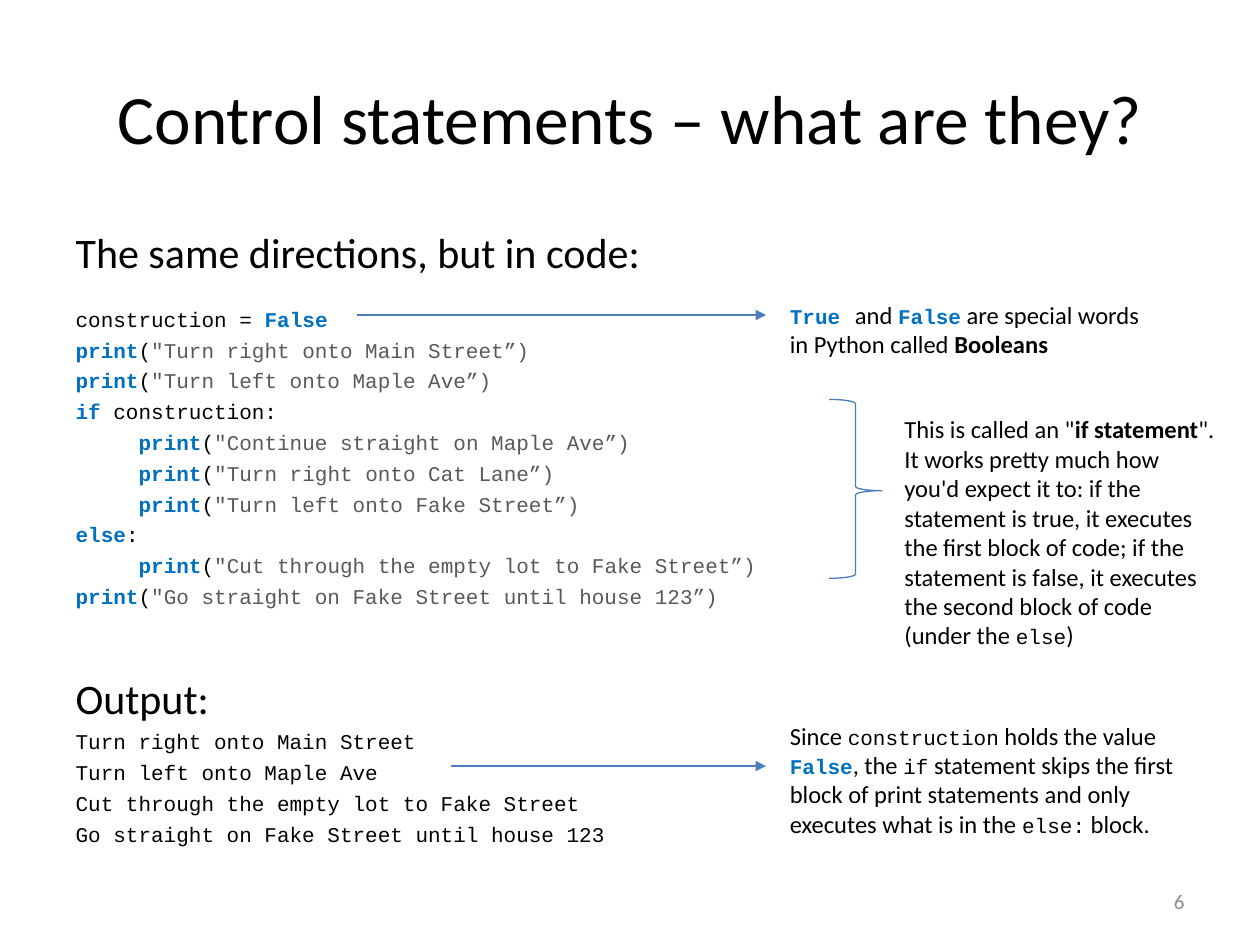
from pptx import Presentation
from pptx.dml.color import RGBColor
from pptx.enum.shapes import MSO_CONNECTOR, MSO_SHAPE
from pptx.enum.text import MSO_ANCHOR as Anchor, MSO_AUTO_SIZE as AutoSize, PP_ALIGN as Align
from pptx.oxml.ns import qn
from pptx.util import Inches, Pt
from lxml import etree

ACCENT = "4B7EBC"
SANS, MONO = "Calibri", "Courier New"
PROSE = dict(size=14)
STRONG = dict(size=14, bold=True)
CODE = dict(size=12, font=MONO)
KEYWORD = dict(size=12, font=MONO, color="0070C0", bold=True)
STRING = dict(size=12, font=MONO, color="595959")
HEADING = dict(size=24)


def color_of(hex_text):
    return RGBColor.from_string(hex_text)


def add_span(para, text, size=14, font=SANS, color="000000", bold=False):
    span = para.add_run()
    span.text = text
    span.font.size = Pt(size)
    span.font.name = font
    span.font.bold = bold
    span.font.color.rgb = color_of(color)


deck = Presentation()
deck.slide_width, deck.slide_height = Inches(10), Inches(7.5)
page = deck.slides.add_slide(deck.slide_layouts[1])

# Title
title = page.shapes.title
title.left, title.top, title.width, title.height = map(Inches, (0.5, 0.3, 9, 1.25))
title.text_frame.vertical_anchor = Anchor.MIDDLE
title_para = title.text_frame.paragraphs[0]
title_para.alignment = Align.CENTER
add_span(title_para, "Control statements – what are they?", size=39.6)

# Body: each line is its space before in points and its spans
LINE_GAP = 3.2


def print_call(message, indent=""):
    return LINE_GAP, [(indent, CODE), ("print", KEYWORD), ("(", CODE), (f'"{message}”)', STRING)]


body_lines = [
    (0, [("The same directions, but in code:", HEADING)]),
    (16.6, [("construction = ", CODE), ("False", KEYWORD)]),
    print_call("Turn right onto Main Street"),
    print_call("Turn left onto Maple Ave"),
    (LINE_GAP, [("if", KEYWORD), (" construction:", CODE)]),
    print_call("Continue straight on Maple Ave", "\t"),
    print_call("Turn right onto Cat Lane", "\t"),
    print_call("Turn left onto Fake Street", "\t"),
    (LINE_GAP, [("else", KEYWORD), (":", CODE)]),
    print_call("Cut through the empty lot to Fake Street", "\t"),
    print_call("Go straight on Fake Street until house 123"),
    (36.5, [("Output:", HEADING)]),
]
for output in (
    "Turn right onto Main Street",
    "Turn left onto Maple Ave",
    "Cut through the empty lot to Fake Street",
    "Go straight on Fake Street until house 123",
):
    body_lines.append((LINE_GAP, [(output, CODE)]))

body = page.placeholders[1]
body.left, body.top, body.width, body.height = map(Inches, (0.5, 1.75, 9, 5.25))
body.text_frame.auto_size = AutoSize.NONE
for index, (gap, spans) in enumerate(body_lines):
    para = body.text_frame.add_paragraph() if index else body.text_frame.paragraphs[0]
    para.space_before = Pt(gap)
    properties = para._p.get_or_add_pPr()
    properties.set("marL", "0")
    properties.set("indent", "0")
    etree.SubElement(properties, qn("a:buNone"))
    for text, style in spans:
        if text:
            add_span(para, text, **style)

# Notes beside the code, and the page number
text_boxes = [
    ((6.17, 2.33, 3.08, 0.57), Align.LEFT, Anchor.TOP, [
        ("True", KEYWORD), (" ", dict(size=14, font=MONO)), ("and ", PROSE), ("False", KEYWORD),
        (" are special words in Python called ", PROSE), ("Booleans", STRONG)]),
    ((7.08, 3.24, 2.67, 1.99), Align.LEFT, Anchor.TOP, [
        ('This is called an "', PROSE), ("if statement", STRONG),
        ('". It works pretty much how you\'d expect it to: if the statement is true, '
         "it executes the first block of code; if the statement is false, "
         "it executes the second block of code (under the ", PROSE),
        ("else", CODE), (")", PROSE)]),
    ((6.17, 5.67, 3.33, 1.04), Align.LEFT, Anchor.TOP, [
        ("Since ", PROSE), ("construction", CODE), (" holds the value ", PROSE),
        ("False", KEYWORD), (", the ", PROSE), ("if", CODE),
        (" statement skips the first block of print statements and only "
         "executes what is in the ", PROSE),
        ("else:", CODE), (" block.", PROSE)]),
    ((7.17, 6.95, 2.33, 0.4), Align.RIGHT, Anchor.MIDDLE, [("6", dict(size=12, color="8C8C8C"))]),
]
for place, alignment, anchor, spans in text_boxes:
    box = page.shapes.add_textbox(*map(Inches, place))
    box.text_frame.word_wrap = True
    box.text_frame.vertical_anchor = anchor
    para = box.text_frame.paragraphs[0]
    para.alignment = alignment
    for text, style in spans:
        add_span(para, text, **style)

# Brace around the if statement
brace = page.shapes.add_shape(
    MSO_SHAPE.RIGHT_BRACE, Inches(6.58), Inches(3.17), Inches(0.42), Inches(1.42))
brace.adjustments[0], brace.adjustments[1] = 0.08, 0.51
brace.shadow.inherit = False
brace.fill.background()
brace.line.color.rgb = color_of(ACCENT)
brace.line.width = Pt(0.75)

# Arrows from the code to its notes
for start, height in ((2.83, 2.5), (3.58, 6.08)):
    arrow = page.shapes.add_connector(
        MSO_CONNECTOR.STRAIGHT, Inches(start), Inches(height), Inches(6.08), Inches(height))
    arrow.line.color.rgb = color_of(ACCENT)
    arrow.line.width = Pt(1)
    etree.SubElement(arrow.line._get_or_add_ln(), qn("a:tailEnd"), type="triangle")
    etree.SubElement(arrow._element.spPr, qn("a:effectLst"))

deck.save("out.pptx")
